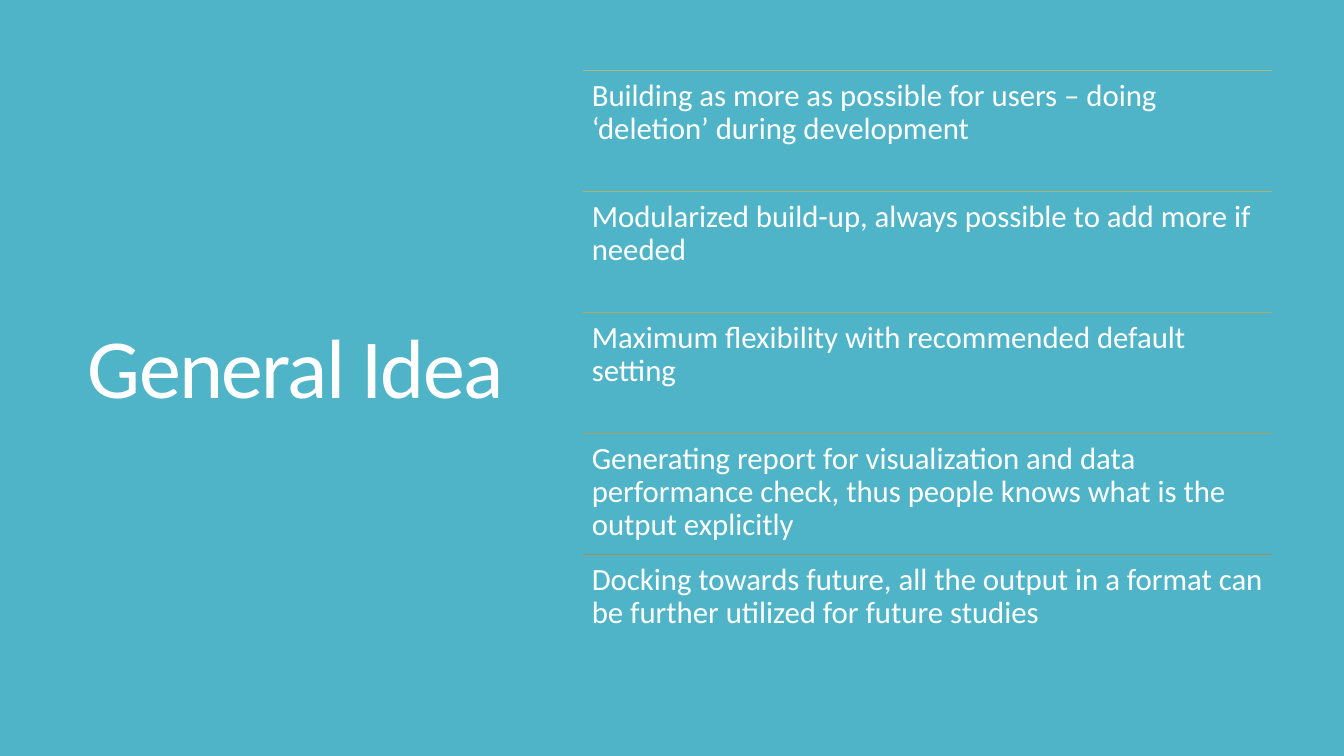
from lxml import etree
from pptx import Presentation
from pptx.dml.color import RGBColor
from pptx.enum.shapes import MSO_CONNECTOR
from pptx.enum.text import MSO_ANCHOR, MSO_AUTO_SIZE, PP_ALIGN
from pptx.oxml.ns import qn
from pptx.util import Inches, Pt

STRAIGHT = MSO_CONNECTOR.STRAIGHT
MIDDLE = MSO_ANCHOR.MIDDLE
TOP = MSO_ANCHOR.TOP
NO_AUTOFIT = MSO_AUTO_SIZE.NONE
LEFT = PP_ALIGN.LEFT


def color(hex_string):
    return RGBColor.from_string(hex_string)


def write_text(frame, text, size, line_spacing, anchor):
    frame.word_wrap = True
    frame.auto_size = NO_AUTOFIT
    frame.vertical_anchor = anchor
    paragraph = frame.paragraphs[0]
    paragraph.alignment = LEFT
    paragraph.line_spacing = line_spacing
    run = paragraph.add_run()
    run.text = text
    run.font.name = "Calibri"
    run.font.size = Pt(size)
    run.font.color.rgb = color("FFFFFF")
    return run


presentation = Presentation()
presentation.slide_width = Inches(13.33)
presentation.slide_height = Inches(7.5)
slide = presentation.slides.add_slide(presentation.slide_layouts[5])
slide.background.fill.solid()
slide.background.fill.fore_color.rgb = color("50B4C8")

grid_top = Inches(0.7)
row_height = Inches(1.2)
list_left = Inches(5.78)
list_width = Inches(6.84)
inset = Inches(0.09)

title = slide.shapes.title
title.left, title.top = Inches(0.77), grid_top
title.width, title.height = Inches(4.37), row_height * 5
title_run = write_text(title.text_frame, "General Idea", 60, 0.85, MIDDLE)
title_run._r.get_or_add_rPr().set("spc", "-120")

ideas = [
    ("Building as more as possible for users – doing ‘deletion’ during development", "A8B97F"),
    ("Modularized build-up, always possible to add more if needed", "A7B374"),
    ("Maximum flexibility with recommended default setting", "A7AC68"),
    ("Generating report for visualization and data performance check, "
     "thus people knows what is the output explicitly", "A6A45D"),
    ("Docking towards future, all the output in a format can be further "
     "utilized for future studies", "9B9256"),
]

for row, (idea, line_color) in enumerate(ideas):
    row_top = grid_top + row * row_height
    divider = slide.shapes.add_connector(
        STRAIGHT, list_left, row_top, list_left + list_width, row_top)
    divider.line.color.rgb = color(line_color)
    divider.line.width = Pt(1)
    etree.SubElement(divider._element.spPr, qn("a:effectLst"))

    idea_box = slide.shapes.add_textbox(list_left, row_top, list_width, row_height)
    frame = idea_box.text_frame
    frame.margin_left = frame.margin_right = inset
    frame.margin_top = frame.margin_bottom = inset
    write_text(frame, idea, 22, 0.9, TOP)

presentation.save("out.pptx")
